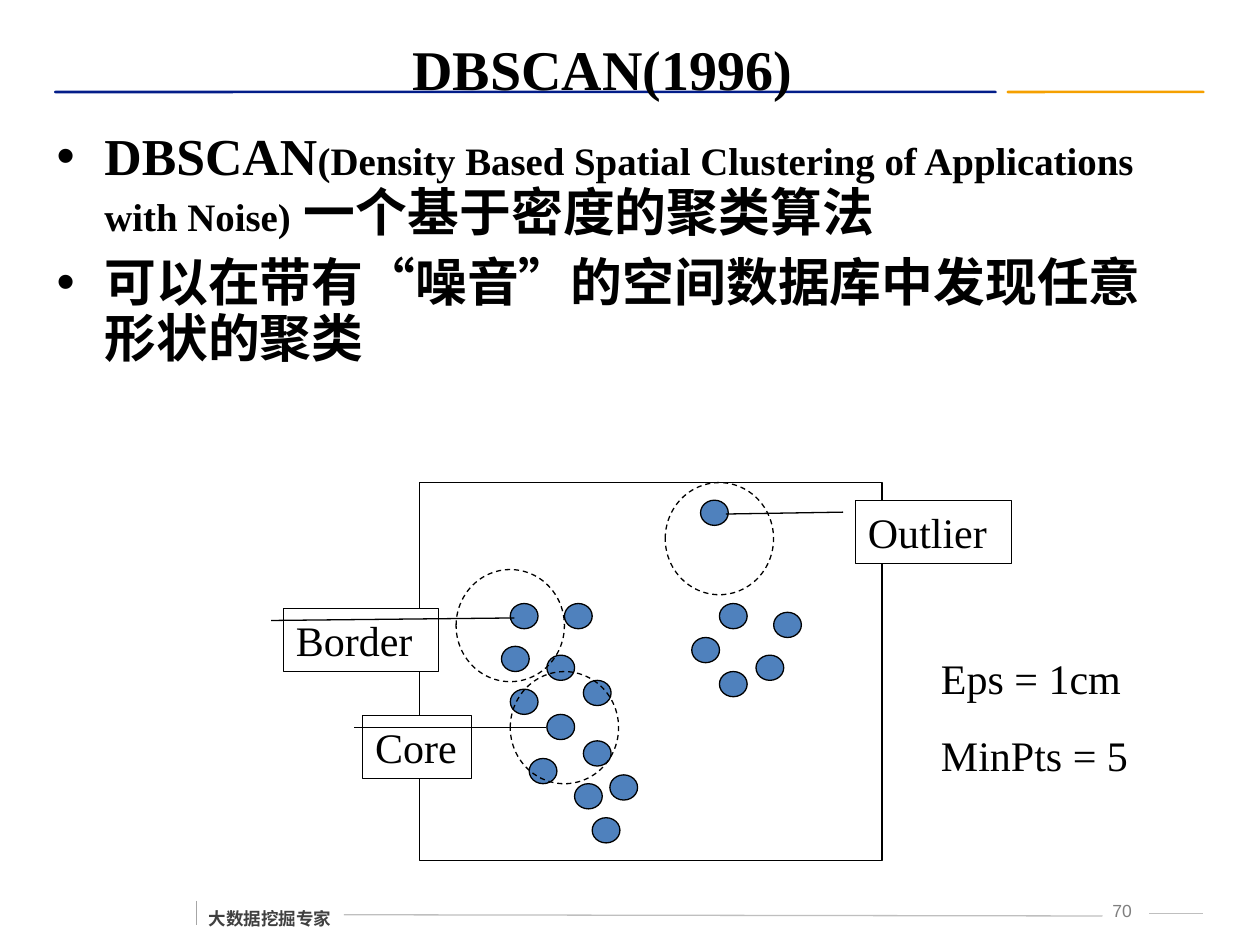
from lxml import etree
from pptx import Presentation
from pptx import util as u
from pptx.dml.color import RGBColor
from pptx.enum import dml, shapes, text
from pptx.oxml.ns import qn

# Content
TITLE = "DBSCAN(1996)"
BULLETS = [
    [("DBSCAN", 29.6),
     ("(Density Based Spatial Clustering of Applications with Noise)", 22.2),
     (" 一个基于密度的聚类算法", 29.6)],
    [("可以在带有“噪音”的空间数据库中发现任意形状的聚类", 29.6)],
]
PARAMS = [[("Eps = 1cm", 24)], [("MinPts = 5", 24)]]
FOOTER, PAGE = "大数据挖掘专家", "70"

# Left and top of each point, by cluster
DOTS = [
    (4.05, 4.79), (3.98, 5.13), (4.34, 5.2), (4.48, 4.79), (4.63, 5.4),
    (4.05, 5.47), (4.34, 5.67), (4.2, 6.02), (4.56, 6.22), (4.7, 6.49),
    (4.63, 5.88), (4.84, 6.15),
    (5.71, 4.79), (5.49, 5.06), (6, 5.2), (6.14, 4.86), (5.71, 5.33),
    (5.56, 3.97),
]
RINGS = [(3.62, 4.52), (4.05, 5.33), (5.28, 3.83)]
# Label, left, top, width, pointer end (down, across) as shares of the box
LABELS = [
    ("Core", 2.88, 5.68, 0.86, (0.19, 1.69)),
    ("Border", 2.25, 4.83, 1.23, (0.15, 1.49)),
    ("Outlier", 6.79, 3.97, 1.24, (0.22, -0.83)),
]
BARS = [(7.99, 1.57, "gold"), (0.43, 7.48, "navy")]
RULES = [
    (2.73, 7.26, 8.75, 7.27, "rule"),
    (9.12, 7.25, 9.55, 7.25, "rule"),
    (1.56, 7.15, 1.56, 7.34, "tick"),
]
COLORS = {
    "gold": "F5A000", "navy": "031D89", "rule": "BFBFBF", "tick": "A6A6A6",
    "black": "000000", "white": "FFFFFF", "dot": "4F81BD",
    "page": "7F7F7F", "foot": "404040",
}
SERIF, SANS, HAN = "Times New Roman", "Arial", "Noto Sans CJK SC"
KIND = shapes.MSO_SHAPE

deck = Presentation()
deck.slide_width, deck.slide_height = u.Inches(10), u.Inches(7.5)
slide = deck.slides.add_slide(deck.slide_layouts[6])


def color(name):
    return RGBColor.from_string(COLORS[name])


def place(*nums):
    return [u.Inches(n) for n in nums]


def write(shape, paras, font=SERIF, ink="black", bold=False, align="LEFT",
          anchor="TOP", wrap=True, gap=0, lead=None, bullet=False):
    """Fill a shape with paragraphs, each a list of (text, size) runs."""
    frame = shape.text_frame
    frame.word_wrap = wrap
    frame.vertical_anchor = getattr(text.MSO_ANCHOR, anchor)
    for i, runs in enumerate(paras):
        para = frame.add_paragraph() if i else frame.paragraphs[0]
        para.alignment = getattr(text.PP_ALIGN, align)
        para.space_before = u.Pt(gap if i else 0)
        if lead:
            para.line_spacing = lead
        if bullet:
            props = para._p.get_or_add_pPr()
            props.set("marL", str(u.Inches(0.38)))
            props.set("indent", str(-u.Inches(0.38)))
            etree.SubElement(props, qn("a:buFont"), typeface=SANS)
            etree.SubElement(props, qn("a:buChar"), char="•")
        for words, size in runs:
            run = para.add_run()
            run.text = words
            run.font.size, run.font.bold = u.Pt(size), bold
            run.font.name = font
            run.font.color.rgb = color(ink)
            etree.SubElement(run._r.get_or_add_rPr(), qn("a:ea"), typeface=HAN)


def box(spot, paras, **style):
    write(slide.shapes.add_textbox(*place(*spot)), paras, **style)


def draw(kind, spot, fill=None, line="black", dash=False):
    shape = slide.shapes.add_shape(kind, *place(*spot))
    shape.shadow.inherit = False
    if fill:
        shape.fill.solid()
        shape.fill.fore_color.rgb = color(fill)
    else:
        shape.fill.background()
    if line:
        shape.line.color.rgb = color(line)
        shape.line.width = u.Pt(0.75)
        if dash:
            shape.line.dash_style = dml.MSO_LINE.DASH
    else:
        shape.line.fill.background()
    return shape


# Header bars
for left, width, fill in BARS:
    bar = draw(KIND.ROUNDED_RECTANGLE, (left, 0.72, width, 0.02), fill, None)
    bar.adjustments[0] = 0.5

# Footer
box((8.67, 7.09, 0.47, 0.25), [[(PAGE, 10)]], font=SANS, ink="page",
    align="CENTER")
box((1.56, 7.07, 1.17, 0.35), [[(FOOTER, 10)]], font=HAN, ink="foot",
    bold=True, wrap=False, lead=1.5)
for x1, y1, x2, y2, ink in RULES:
    rule = slide.shapes.add_connector(shapes.MSO_CONNECTOR.STRAIGHT,
                                      *place(x1, y1, x2, y2))
    rule.line.color.rgb = color(ink)
    rule.line.width = u.Pt(0.75)
    etree.SubElement(rule._element.spPr, qn("a:effectLst"))

# Title and bullets
box((0.57, 0.21, 8.42, 0.66), [[(TITLE, 32)]], bold=True, align="CENTER",
    anchor="MIDDLE")
box((0.35, 0.99, 9.15, 2.35), BULLETS, bold=True, gap=8, lead=0.9,
    bullet=True)

# Diagram: points, frame, neighbourhoods
for left, top in DOTS:
    draw(KIND.OVAL, (left, top, 0.22, 0.2), "dot")
draw(KIND.RECTANGLE, (3.33, 3.83, 3.67, 3))
for left, top in RINGS:
    draw(KIND.OVAL, (left, top, 0.86, 0.89), dash=True)

# Callouts and parameters
for name, left, top, width, end in LABELS:
    label = draw(KIND.LINE_CALLOUT_1, (left, top, width, 0.5), "white")
    for i, share in enumerate((0.19, -0.08) + end):
        label.adjustments[i] = share
    write(label, [[(name, 24)]])
box((7.37, 5.13, 1.8, 1.11), PARAMS, gap=15)

deck.save("out.pptx")
